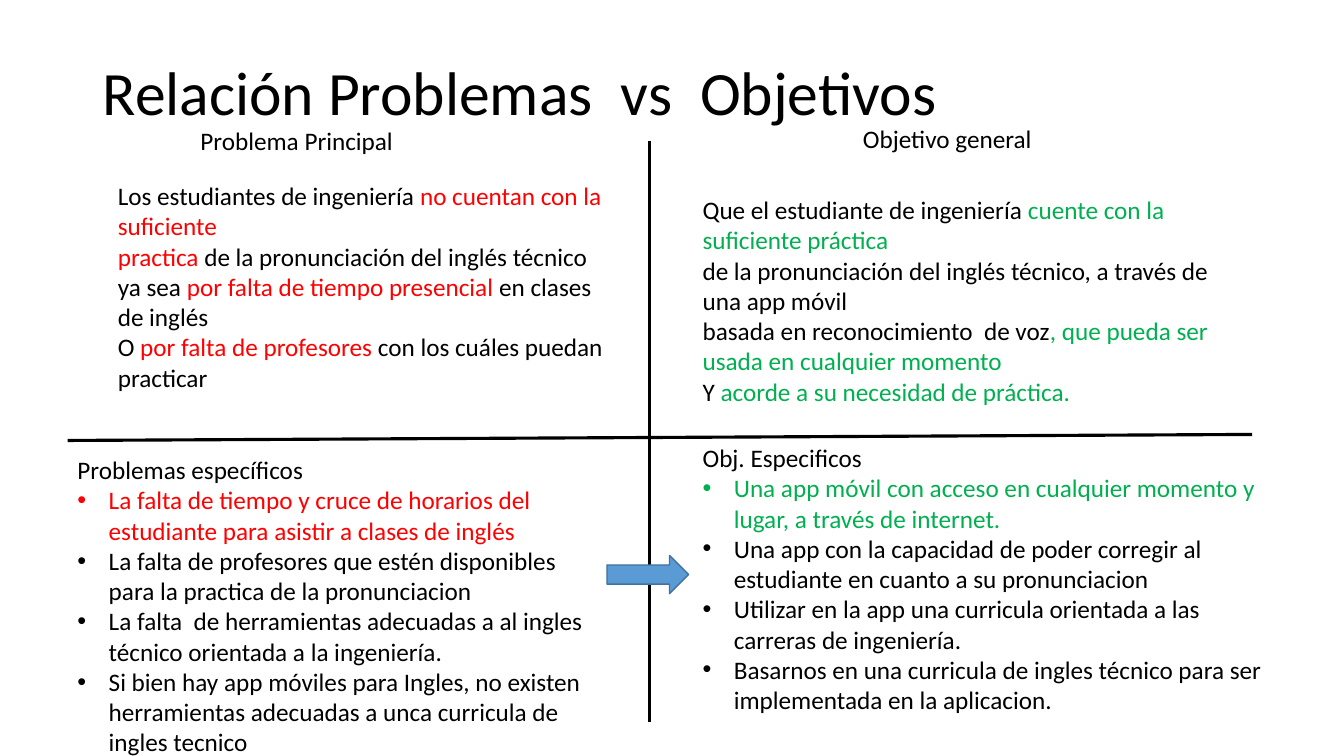
from lxml import etree
from pptx import Presentation
from pptx.dml.color import RGBColor
from pptx.enum.shapes import MSO_CONNECTOR as Link, MSO_SHAPE as Form
from pptx.enum.text import MSO_ANCHOR as Anchor
from pptx.oxml.ns import qn
from pptx.util import Inches, Pt

BLACK = RGBColor(0x00, 0x00, 0x00)
RED = RGBColor(0xFF, 0x00, 0x00)
GREEN = RGBColor(0x00, 0xB0, 0x50)
BLUE = RGBColor(0x5B, 0x9B, 0xD5)
NAVY = RGBColor(0x43, 0x71, 0x9E)


class Board:
    def __init__(self, slide, font="Calibri", size=18):
        self.shapes = slide.shapes
        self.font = font
        self.size = size

    def style(self, run, color, size):
        font = run.font
        font.name = self.font
        font.size = Pt(size)
        font.color.rgb = color

    def fill(self, para, parts, size):
        """Add (text, color) parts to a paragraph; a newline is a line break."""
        for text, color in parts:
            for i, line in enumerate(text.split("\n")):
                if i:
                    para.add_line_break()
                if line:
                    run = para.add_run()
                    run.text = line
                    self.style(run, color, size)

    def bullet(self, para):
        props = para._p.get_or_add_pPr()
        props.set("marL", str(Inches(0.31)))
        props.set("indent", str(Inches(-0.31)))
        face = etree.SubElement(props, qn("a:buFont"))
        face.set("typeface", "Arial")
        etree.SubElement(props, qn("a:buChar")).set("char", "•")

    def text(self, area, paras, wrap=True, size=None):
        """Place a text box holding one list of (text, color) parts per paragraph."""
        frame = self.shapes.add_textbox(*map(Inches, area)).text_frame
        frame.word_wrap = wrap
        for i, parts in enumerate(paras):
            para = frame.add_paragraph() if i else frame.paragraphs[0]
            self.fill(para, parts, size or self.size)
        return frame

    def title(self, area, text):
        frame = self.text(area, [[(text, BLACK)]], size=44)
        frame.vertical_anchor = Anchor.MIDDLE
        frame.paragraphs[0].line_spacing = 0.9

    def label(self, area, text):
        self.text(area, [[(text, BLACK)]], wrap=False)

    def points(self, area, head, items, color):
        """Place a heading with bullets below it, the first one in color."""
        tints = [color] + [BLACK] * (len(items) - 1)
        paras = [[(head, BLACK)]] + [[pair] for pair in zip(items, tints)]
        frame = self.text(area, paras)
        for para in frame.paragraphs[1:]:
            self.bullet(para)

    def line(self, *ends):
        rule = self.shapes.add_connector(Link.STRAIGHT, *map(Inches, ends))
        rule.line.color.rgb = BLACK
        rule.line.width = Pt(2.25)
        etree.SubElement(rule._element.spPr, qn("a:effectLst"))

    def arrow(self, area):
        shape = self.shapes.add_shape(Form.RIGHT_ARROW, *map(Inches, area))
        shape.shadow.inherit = False
        shape.fill.solid()
        shape.fill.fore_color.rgb = BLUE
        shape.line.color.rgb = NAVY
        shape.line.width = Pt(1)


def main():
    deck = Presentation()
    deck.slide_width = Inches(13.33)
    deck.slide_height = Inches(7.5)
    board = Board(deck.slides.add_slide(deck.slide_layouts[6]))

    board.title((0.92, 0.4, 11.5, 1.09), "Relación Problemas  vs  Objetivos")
    board.line(6.44, 1.4, 6.44, 7.16)
    board.line(12.42, 4.31, 0.67, 4.37)
    board.label((1.89, 1.19, 2.13, 0.4), "Problema Principal")
    board.label((8.46, 1.17, 1.89, 0.4), "Objetivo general")

    board.points((0.67, 4.46, 5.35, 3.43), "Problemas específicos", [
        "La falta de tiempo y cruce de horarios del estudiante para asistir a clases de inglés",
        "La falta de profesores que estén disponibles para la practica de la pronunciacion",
        "La falta  de herramientas adecuadas a al ingles técnico orientada a la ingeniería.",
        "Si bien hay app móviles para Ingles, no existen herramientas adecuadas "
        "a unca curricula de ingles tecnico",
    ], RED)
    board.points((6.87, 4.34, 5.79, 3.43), "Obj. Especificos", [
        "Una app móvil con acceso en cualquier momento y lugar, a través de internet.",
        "Una app con la capacidad de poder corregir al estudiante en cuanto a su pronunciacion",
        "Utilizar en la app una curricula orientada a las carreras de ingeniería.",
        "Basarnos en una curricula de ingles técnico para ser implementada en la aplicacion.",
    ], GREEN)

    board.text((1.07, 1.74, 5.12, 2.22), [
        [("Los estudiantes de ingeniería ", BLACK),
         ("no cuentan con la suficiente\npractica ", RED),
         ("de la pronunciación del inglés técnico\nya sea ", BLACK),
         ("por falta de tiempo presencial ", RED),
         ("en clases de inglés", BLACK)],
        [("O ", BLACK),
         ("por falta de profesores ", RED),
         ("con los cuáles puedan practicar", BLACK)],
    ])
    board.text((6.87, 1.88, 5.24, 2.22), [
        [("Que el estudiante de ingeniería ", BLACK),
         ("cuente con la suficiente práctica\n", GREEN),
         ("de la pronunciación del inglés técnico, a través de una app móvil\n"
          "basada en reconocimiento  de voz", BLACK),
         (", que pueda ser usada en cualquier momento", GREEN)],
        [("Y ", BLACK),
         ("acorde a su necesidad de práctica.", GREEN)],
    ])
    board.arrow((6.02, 5.51, 0.81, 0.38))
    deck.save("out.pptx")


if __name__ == "__main__":
    main()
